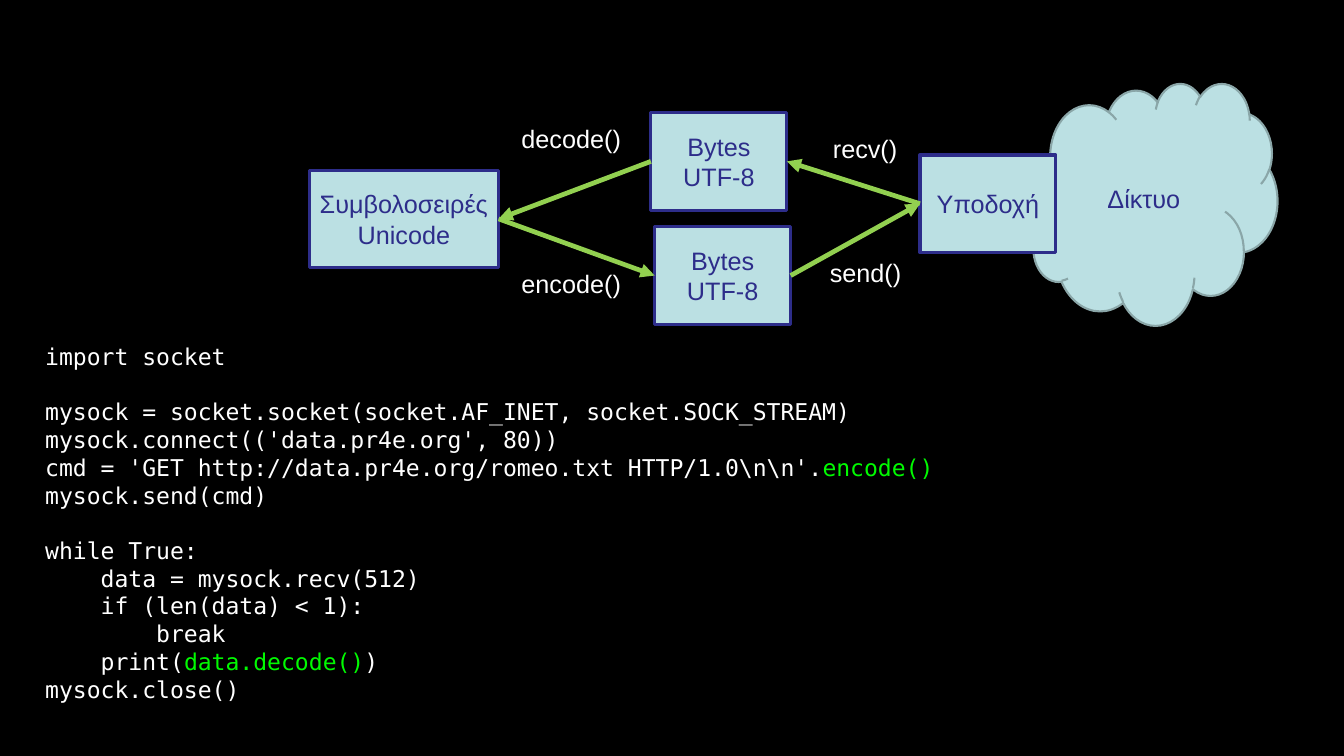
from lxml import etree
from pptx import Presentation
from pptx.dml.color import RGBColor
from pptx.enum.shapes import MSO_CONNECTOR, MSO_SHAPE
from pptx.enum.text import MSO_ANCHOR, MSO_AUTO_SIZE, PP_ALIGN
from pptx.oxml.ns import qn
from pptx.util import Inches, Pt

RECT, CLOUD = MSO_SHAPE.RECTANGLE, MSO_SHAPE.CLOUD
STRAIGHT = MSO_CONNECTOR.STRAIGHT
MIDDLE, CENTER = MSO_ANCHOR.MIDDLE, PP_ALIGN.CENTER
GROW = MSO_AUTO_SIZE.SHAPE_TO_FIT_TEXT
LEFT, RIGHT = 1, 3  # connection sites of a rectangle

BLACK, WHITE, NAVY = "000000", "FFFFFF", "2D2D8A"
PALE_BLUE, GREY_BLUE = "BBE0E3", "8AA6A8"
ARROW_GREEN, CODE_GREEN = "92D050", "00FA00"

prs = Presentation()
prs.slide_width, prs.slide_height = Inches(17.78), Inches(10)
slide = prs.slides.add_slide(prs.slide_layouts[6])


def area(left, top, width, height):
    """Turn percentages of the slide's size into lengths."""
    across, down = prs.slide_width / 100, prs.slide_height / 100
    return int(left * across), int(top * down), int(width * across), int(height * down)


def add_run(paragraph, text, color, size=24, font="Arial"):
    run = paragraph.add_run()
    run.text = text
    run.font.name, run.font.size = font, Pt(size)
    run.font.color.rgb = RGBColor.from_string(color)


slide.background.fill.solid()
slide.background.fill.fore_color.rgb = RGBColor.from_string(BLACK)

# Stations that the data passes through
BOX_W, BOX_H = 10.12, 12.9
stations = {}
for key, preset, place, outline, weight, lines in [
    ("network", CLOUD, (76.49, 11, 18.56, 32), GREY_BLUE, 2, ["Δίκτυο"]),
    ("socket", RECT, (68.45, 20.5, BOX_W, BOX_H), NAVY, 3, ["Υποδοχή"]),
    ("received", RECT, (48.43, 14.9, BOX_W, BOX_H), NAVY, 3, ["Bytes", "UTF-8"]),
    ("strings", RECT, (23, 22.5, 14.1, BOX_H), NAVY, 3, ["Συμβολοσειρές", "Unicode"]),
    ("sent", RECT, (48.71, 30, BOX_W, BOX_H), NAVY, 3, ["Bytes", "UTF-8"]),
]:
    station = slide.shapes.add_shape(preset, *area(*place))
    station.shadow.inherit = False
    station.fill.solid()
    station.fill.fore_color.rgb = RGBColor.from_string(PALE_BLUE)
    station.line.color.rgb = RGBColor.from_string(outline)
    station.line.width = Pt(weight)
    frame = station.text_frame
    frame.word_wrap = True
    frame.vertical_anchor = MIDDLE
    for i, line in enumerate(lines):
        paragraph = frame.paragraphs[0] if i == 0 else frame.add_paragraph()
        paragraph.alignment = CENTER
        add_run(paragraph, line, NAVY)
    stations[key] = station

# Arrows between stations
for source, source_side, target, target_side in [
    ("strings", RIGHT, "sent", LEFT),
    ("socket", LEFT, "received", RIGHT),
    ("sent", RIGHT, "socket", LEFT),
    ("received", LEFT, "strings", RIGHT),
]:
    arrow = slide.shapes.add_connector(STRAIGHT, 0, 0, 0, 0)
    arrow.begin_connect(stations[source], source_side)
    arrow.end_connect(stations[target], target_side)
    arrow.line.color.rgb = RGBColor.from_string(ARROW_GREEN)
    arrow.line.width = Pt(4.5)
    etree.SubElement(arrow.line._get_or_add_ln(), qn("a:tailEnd"), type="triangle")
    etree.SubElement(arrow._element.spPr, qn("a:effectLst"))

# Method names beside the arrows
for method, left, top, width in [
    ("recv()", 61.42, 17.2, 5.96),
    ("decode()", 38.25, 15.8, 8.6),
    ("encode()", 38.25, 35, 8.6),
    ("send()", 61.19, 33.6, 6.52),
]:
    label = slide.shapes.add_textbox(*area(left, top, width, 5)).text_frame
    label.word_wrap = False
    label.auto_size = GROW
    add_run(label.paragraphs[0], method, WHITE)

# Program: blocks of lines, each line a list of (text, color) pieces
program = [
    [[("import socket", WHITE)]],
    [
        [("mysock = socket.socket(socket.AF_INET, socket.SOCK_STREAM)", WHITE)],
        [("mysock.connect(('data.pr4e.org', 80))", WHITE)],
        [(r"cmd = 'GET http://data.pr4e.org/romeo.txt HTTP/1.0\n\n'.", WHITE),
         ("encode()", CODE_GREEN)],
        [("mysock.send(cmd)", WHITE)],
    ],
    [
        [("while True:", WHITE)],
        [("    data = mysock.recv(512)", WHITE)],
        [("    if (len(data) < 1):", WHITE)],
        [("        break", WHITE)],
        [("    print(", WHITE), ("data.decode()", CODE_GREEN), (")", WHITE)],
        [("mysock.close()", WHITE)],
    ],
]
code = slide.shapes.add_textbox(*area(2.81, 44.8, 69.97, 49.1)).text_frame
code.word_wrap = True
code.auto_size = GROW
for b, block in enumerate(program):
    for n, pieces in enumerate(block):
        first = b == 0 and n == 0
        paragraph = code.paragraphs[0] if first else code.add_paragraph()
        if n == 0 and not first:
            paragraph.space_before = Pt(26.4)
        for text, color in pieces:
            add_run(paragraph, text, color, 22, "DejaVu Sans Mono")

prs.save("out.pptx")
